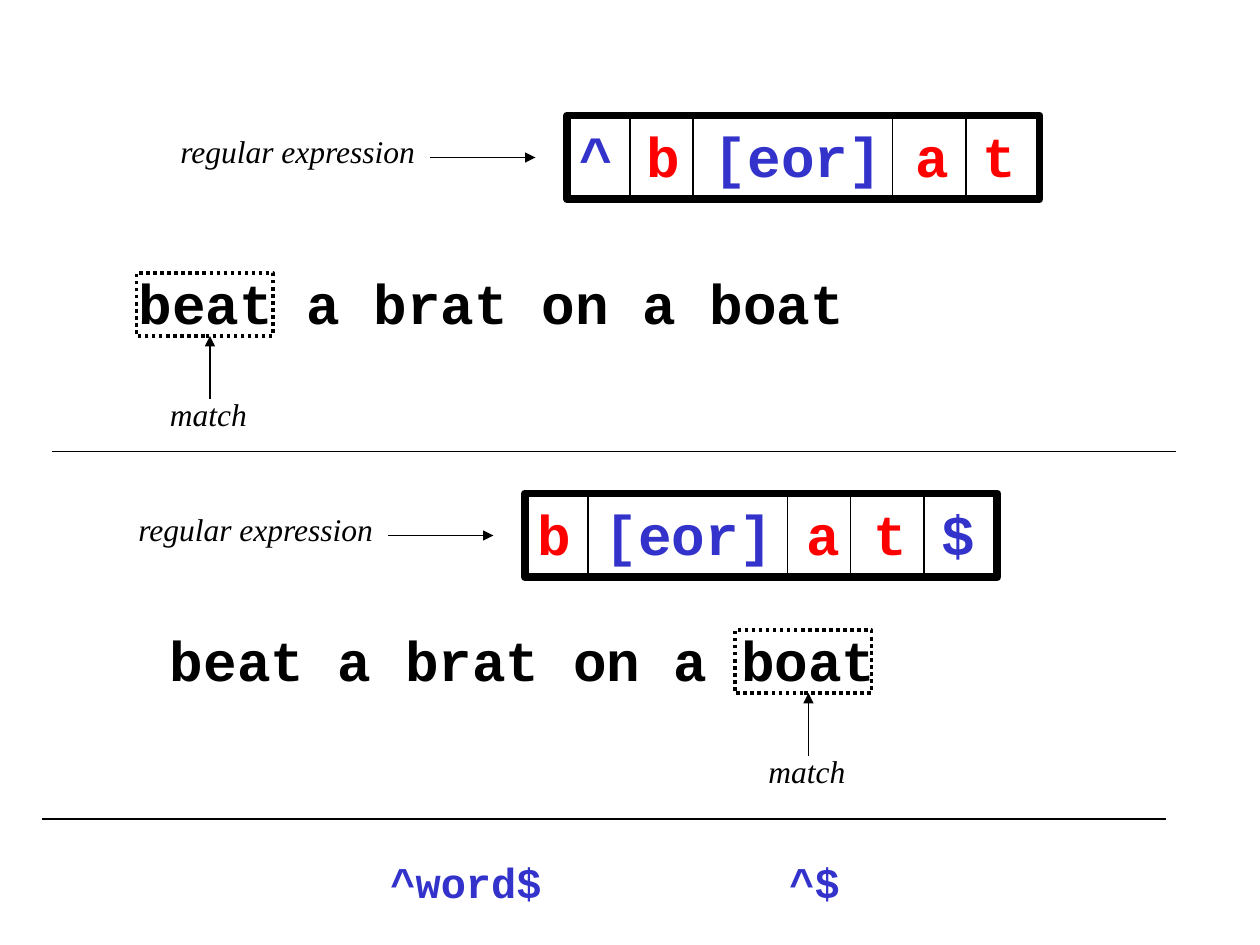
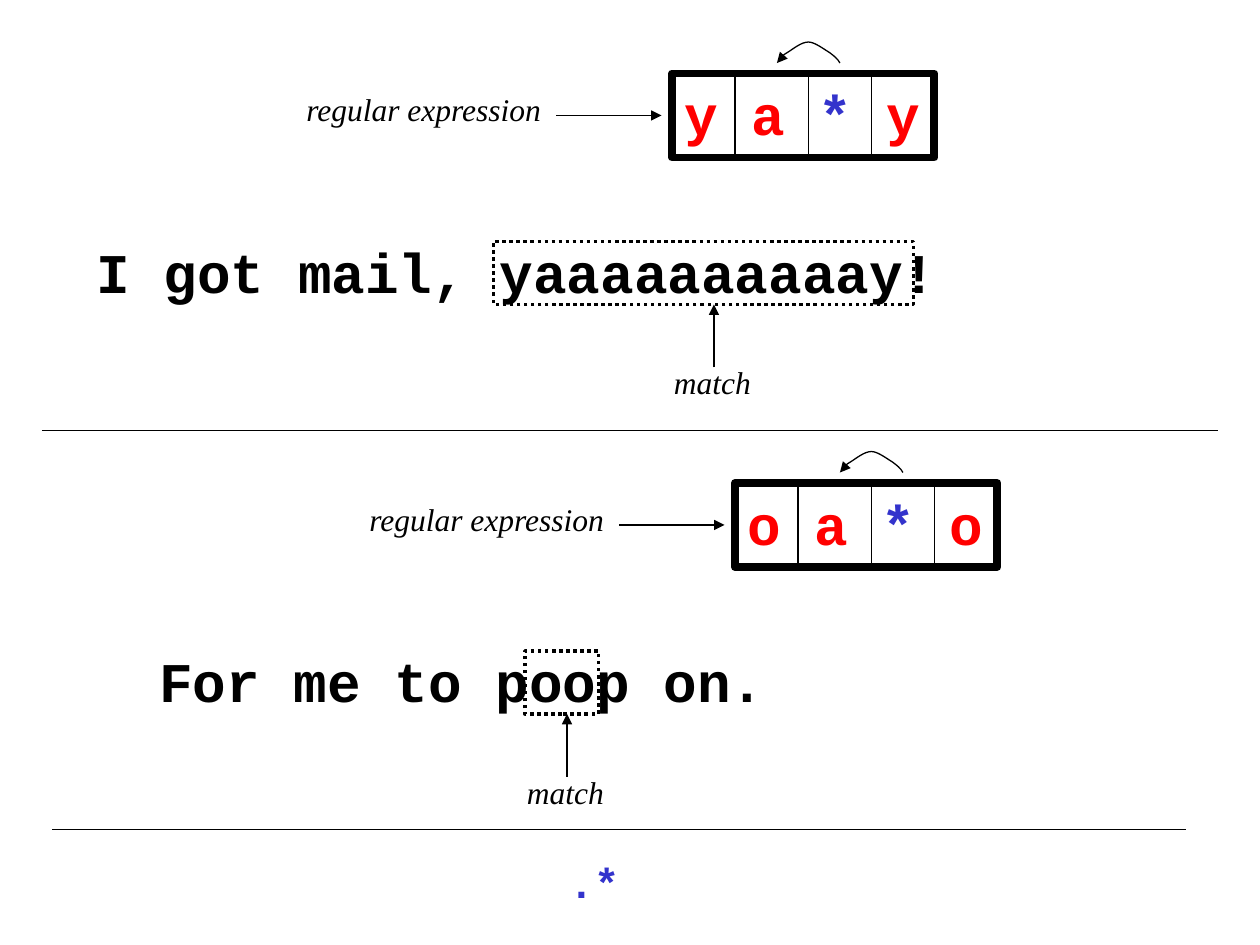
"""Two slides on regular expressions: anchors and the star."""
from lxml.etree import SubElement as Sub
from pptx import Presentation
from pptx.dml.color import RGBColor
from pptx.enum.dml import MSO_LINE as Dash
from pptx.enum.shapes import MSO_CONNECTOR as Link, MSO_SHAPE as Shape
from pptx.oxml.ns import qn
from pptx.util import Cm, Pt

BLACK = RGBColor(0, 0, 0)
RED = RGBColor(0xFF, 0, 0)
BLUE = RGBColor(0x33, 0x33, 0xCC)
MONO, SERIF = "Courier New", "Times New Roman"
STEP = 2.54 / 12

SLIDES = [
    {
        "cases": [
            {"box": (54, 11, 45), "cuts": (6, 12, 31, 38), "gap": 3, "wide": 48,
             "runs": [("^", BLUE), (" b ", RED), ("[eor]", BLUE), (" a t", RED)],
             "text": ("beat a brat on a boat", 12, 25, 81), "mark": (13, 13), "hit": 20},
            {"box": (50, 47, 45), "cuts": (6, 25, 31, 38), "gap": 3, "wide": 48,
             "runs": [("b ", RED), ("[eor]", BLUE), (" a t ", RED), ("$", BLUE)],
             "text": ("beat a brat on a boat", 15, 59, 81), "mark": (70, 13), "hit": 77},
        ],
        "rules": [(5, 112, 43), (4, 111, 78)],
        "notes": [("^word$", 36, 18), ("^$", 74, 8)],
    },
    {
        "cases": [
            {"box": (64, 7, 25), "cuts": (6, 13, 19), "gap": 1, "wide": 42, "loop": 10,
             "runs": [("y a ", RED), ("*", BLUE), (" y", RED)],
             "text": ("I got mail, yaaaaaaaaaay!", 8, 22, 87), "mark": (47, 40), "hit": 68},
            {"box": (70, 46, 25), "cuts": (6, 13, 19), "gap": 1, "wide": 42, "loop": 10,
             "runs": [("o a ", RED), ("*", BLUE), (" o", RED)],
             "text": ("For me to poop on.", 14, 61, 81), "mark": (50, 7), "hit": 54},
        ],
        "rules": [(4, 116, 41), (5, 113, 79)],
        "notes": [(".*", 53, 8)],
    },
]
ARC = [(60, 20), (58, 16), (54, 13), (50, 10), (45, 7), (36, 0), (30, 0),
       (23, 0), (15, 7), (10, 10), (5, 13), (1, 19), (0, 20)]


def at(*units):
    return [Cm(unit * STEP) for unit in units]


def write(slide, runs, x, y, w, h, size, face=MONO, wrap=True):
    frame = slide.shapes.add_textbox(*at(x, y, w, h)).text_frame
    frame.word_wrap = wrap
    para = frame.paragraphs[0]
    font = para.font
    font.name, font.size = face, Pt(size)
    font.bold, font.italic = face == MONO, face == SERIF
    for text, color in runs:
        run = para.add_run()
        run.text = text
        run.font.color.rgb = color


def label(slide, text, x, y, w):
    write(slide, [(text, BLACK)], x, y, w, 4.8, 18, SERIF, False)


def ink(shape, width=0.75, head=False):
    shape.line.color.rgb = BLACK
    shape.line.width = Pt(width)
    if head:
        Sub(shape.line._get_or_add_ln(), qn("a:tailEnd"), type="triangle")


def line(slide, x1, y1, x2, y2, head=False):
    link = slide.shapes.add_connector(Link.STRAIGHT, *at(x1, y1, x2, y2))
    ink(link, head=head)
    Sub(link._element.spPr, qn("a:effectLst"))


def frame(slide, x, y, w, h, width):
    box = slide.shapes.add_shape(Shape.RECTANGLE, *at(x, y, w, h))
    box.shadow.inherit = False
    box.fill.background()
    ink(box, width)
    return box


def loop(slide, x, y):
    pen = slide.shapes.build_freeform(*ARC[0], scale=Cm(STEP) / 10)
    pen.add_line_segments(ARC[1:], close=False)
    arc = pen.convert_to_shape(*at(x, y))
    arc.shadow.inherit = False
    arc.fill.background()
    ink(arc, head=True)
    parts = list(arc._element.iter(qn("a:lnTo")))
    for i in range(0, len(parts), 3):
        curve = Sub(parts[i].getparent(), qn("a:cubicBezTo"))
        for part in parts[i:i + 3]:
            curve.append(part[0])
            part.getparent().remove(part)


def draw_regex(slide, case):
    x, y, w = case["box"]
    tip = x - case["gap"]
    label(slide, "regular expression", tip - 35, y + 1, 25)
    line(slide, tip - 10, y + 4, tip, y + 4, True)
    frame(slide, x, y, w, 8, 4.5)
    write(slide, case["runs"], x, y, case["wide"], 7.7, 32)
    for cut in case["cuts"]:
        line(slide, x + cut, y, x + cut, y + 8)
    if "loop" in case:
        loop(slide, x + case["loop"], y - 3)


def draw_match(slide, case):
    text, x, y, w = case["text"]
    left, wide = case["mark"]
    hit = case["hit"]
    write(slide, [(text, BLACK)], x, y, w, 7.7, 32)
    frame(slide, left, y + 1, wide, 6, 2).line.dash_style = Dash.ROUND_DOT
    label(slide, "match", hit - 5, y + 12, 9.7)
    line(slide, hit, y + 13, hit, y + 7, True)


def main():
    deck = Presentation()
    deck.slide_width, deck.slide_height = at(120, 90)
    for plan in SLIDES:
        slide = deck.slides.add_slide(deck.slide_layouts[6])
        for case in plan["cases"]:
            draw_regex(slide, case)
            draw_match(slide, case)
        for x1, x2, y in plan["rules"]:
            line(slide, x1, y, x2, y)
        for text, x, w in plan["notes"]:
            write(slide, [(text, BLUE)], x, 81, w, 6, 24)
    deck.save("out.pptx")


if __name__ == "__main__":
    main()
